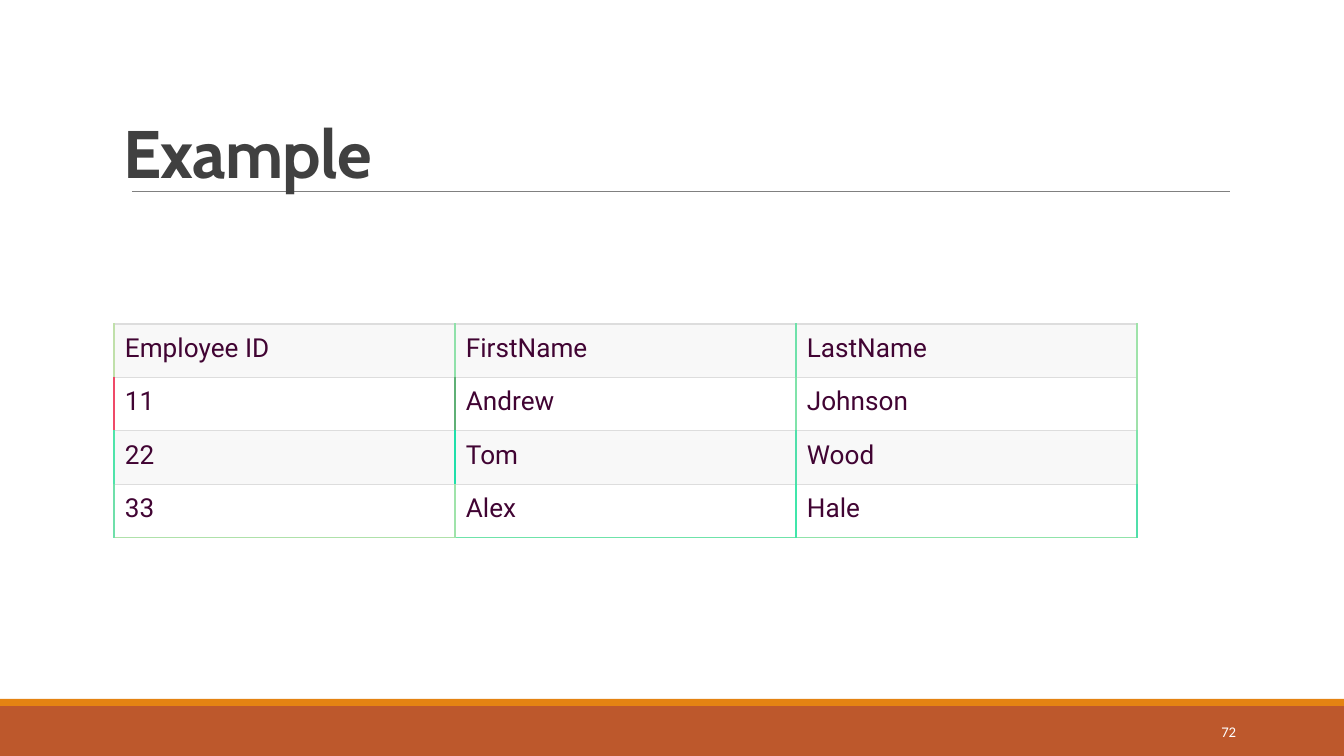
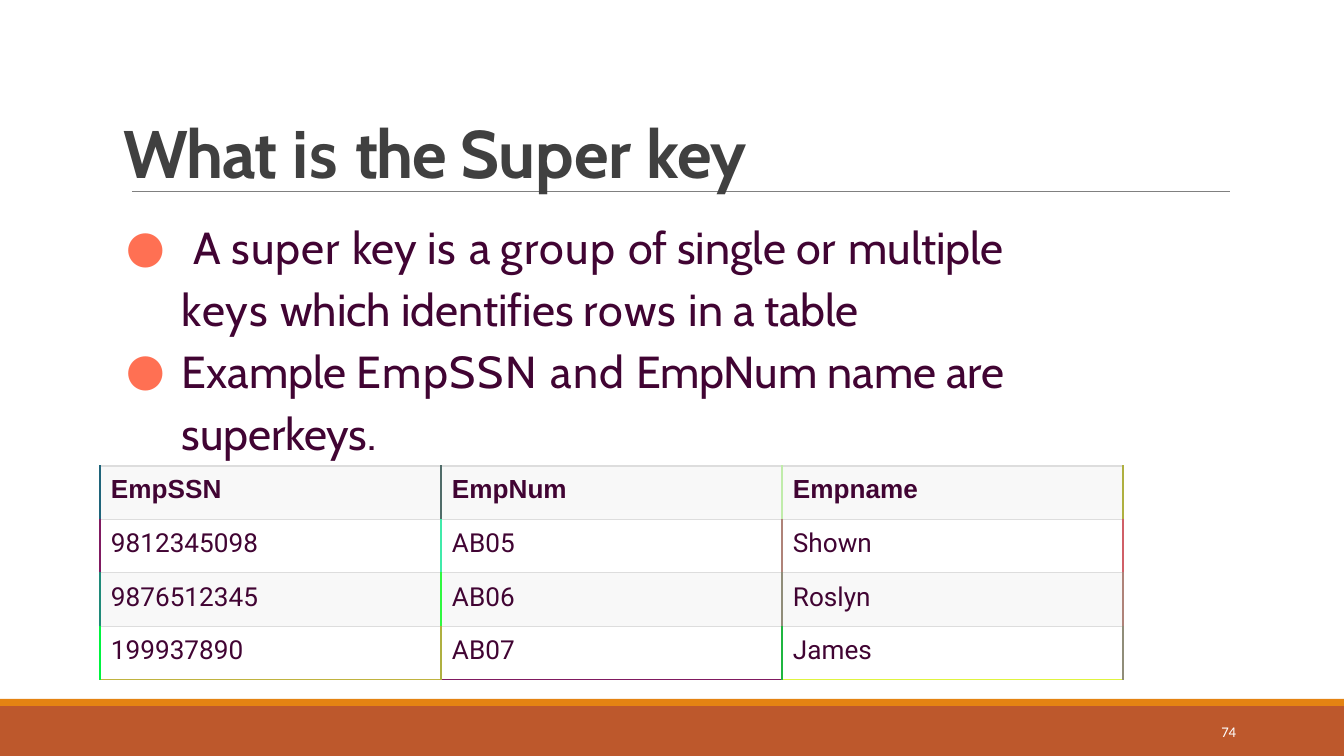
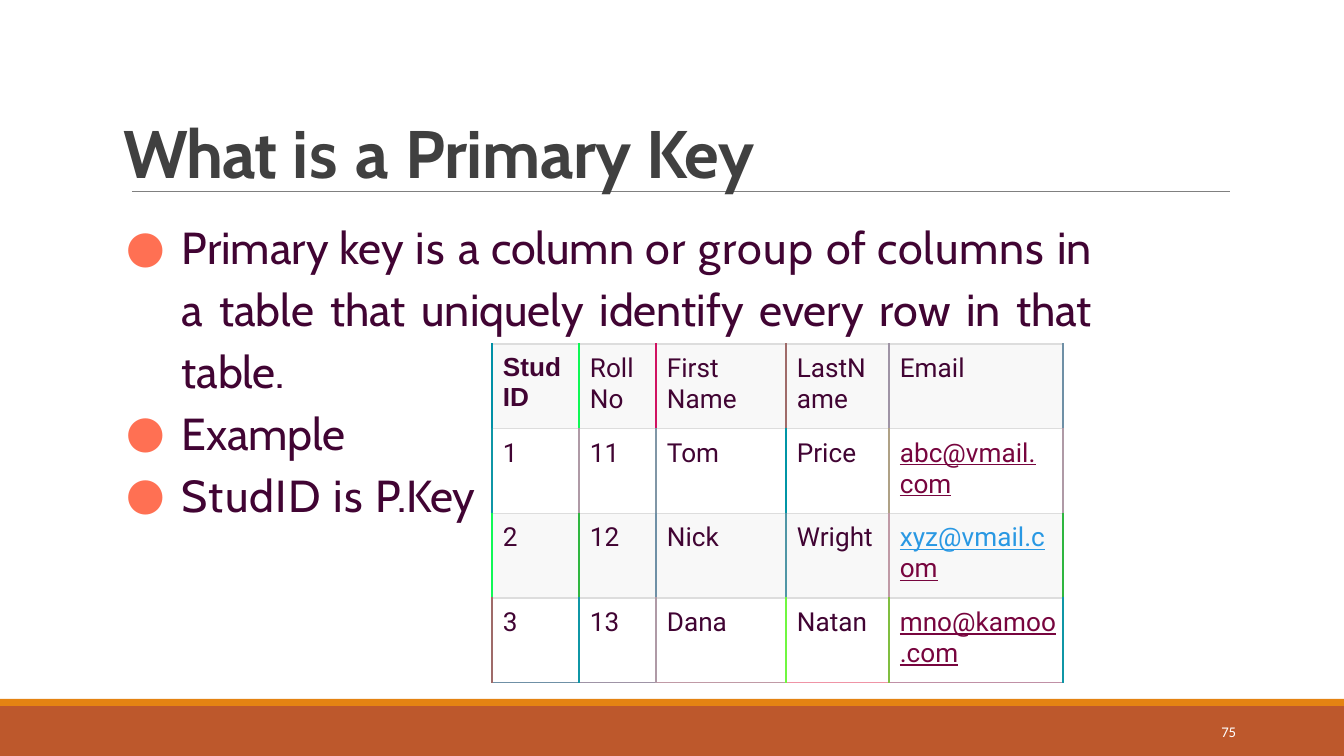
from lxml import etree
from pptx import Presentation
from pptx.dml.color import RGBColor
from pptx.enum.shapes import MSO_CONNECTOR, MSO_SHAPE
from pptx.enum.text import MSO_ANCHOR, PP_ALIGN
from pptx.oxml.ns import qn
from pptx.util import Pt

RECTANGLE = MSO_SHAPE.RECTANGLE
STRAIGHT = MSO_CONNECTOR.STRAIGHT
TOP, MIDDLE, BOTTOM = MSO_ANCHOR.TOP, MSO_ANCHOR.MIDDLE, MSO_ANCHOR.BOTTOM
LEFT, RIGHT, JUSTIFY = PP_ALIGN.LEFT, PP_ALIGN.RIGHT, PP_ALIGN.JUSTIFY

EMU_PER_PX = 914400 / 134.4
WIDTH, HEIGHT = 1344, 756

WHITE, STRIPE, ROW_LINE = "FFFFFF", "F8F8F8", "DDDDDD"
BAND, ACCENT, RULE = "BD582C", "E48312", "808080"
TITLE_INK, INK, BULLET = "404040", "410433", "FF7053"
LINK, LINK_BLUE = "77053E", "2998E3"
TITLE_FONT, CELL_FONT, HEADER_FONT, NUMBER_FONT = "Cabin", "Roboto", "Arial", "Calibri"


def px(length):
    return round(length * EMU_PER_PX)


def color(value):
    return RGBColor.from_string(value)


def add_child(parent, tag, **attributes):
    return etree.SubElement(parent, qn(tag), attributes)


def style_font(font, name, size, ink, bold=False):
    font.name, font.size, font.bold = name, Pt(size), bold
    font.color.rgb = color(ink)


def add_spans(para, spans):
    """Add (text, letter spacing in points) pairs as runs."""
    for text, spacing in spans:
        span = para.add_run()
        span.text = text
        if spacing:
            span._r.get_or_add_rPr().set("spc", str(round(spacing * 100)))


def add_text_box(slide, left, top, width, height, anchor=TOP, inset_left=0, inset_top=0):
    box = slide.shapes.add_textbox(px(left), px(top), px(width), px(height))
    frame = box.text_frame
    frame.word_wrap = True
    frame.vertical_anchor = anchor
    frame.margin_left, frame.margin_top = px(inset_left), px(inset_top)
    frame.margin_right = frame.margin_bottom = 0
    return frame


def add_band(slide, top, height, fill):
    band = slide.shapes.add_shape(RECTANGLE, 0, px(top), px(WIDTH), px(height))
    band.shadow.inherit = False
    band.fill.solid()
    band.fill.fore_color.rgb = color(fill)
    band.line.fill.background()


def add_title_rule(slide):
    rule = slide.shapes.add_connector(STRAIGHT, px(132), px(192), px(1230), px(192))
    rule.line.color.rgb = color(RULE)
    rule.line.width = Pt(0.5)
    add_child(rule._element.spPr, "a:effectLst")


def add_page(deck, title, number):
    """Add a slide with the shared bands, rule, title and page number."""
    slide = deck.slides.add_slide(deck.slide_layouts[6])
    add_band(slide, 706, 50, BAND)
    add_band(slide, 699, 7, ACCENT)
    add_title_rule(slide)

    para = add_text_box(slide, 121, 32, 1109, 160, BOTTOM, 2, 66).paragraphs[0]
    style_font(para.font, TITLE_FONT, 36, TITLE_INK, True)
    add_spans(para, title)

    para = add_text_box(slide, 1091, 712, 145, 40, MIDDLE).paragraphs[0]
    para.alignment = RIGHT
    style_font(para.font, NUMBER_FONT, 7.9, WHITE)
    add_spans(para, [(str(number), -0.2)])
    return slide


def add_bullet(para, tabs):
    properties = para._p.get_or_add_pPr()
    properties.set("marL", str(px(58)))
    properties.set("indent", str(px(-56)))
    add_child(add_child(properties, "a:buClr"), "a:srgbClr", val=BULLET)
    add_child(properties, "a:buFont", typeface=CELL_FONT)
    add_child(properties, "a:buChar", char="●")
    stops = add_child(properties, "a:tabLst")
    for position in tabs:
        add_child(stops, "a:tab", pos=str(px(position)), algn="l")


def add_bullets(slide, width, height, items, alignment=LEFT):
    """Each item is (spans, line spacing, space before in points, tab stops)."""
    frame = add_text_box(slide, 124, 211, width, height, inset_top=1)
    for index, (spans, line_spacing, space_before, tabs) in enumerate(items):
        para = frame.add_paragraph() if index else frame.paragraphs[0]
        para.alignment = alignment
        para.line_spacing = line_spacing
        para.space_before = Pt(space_before)
        style_font(para.font, TITLE_FONT, 24, INK)
        add_bullet(para, tabs)
        add_spans(para, spans)


def add_border(cell, side, ink, points):
    line = add_child(cell._tc.get_or_add_tcPr(), "a:ln" + side, w=str(Pt(points)))
    add_child(add_child(line, "a:solidFill"), "a:srgbClr", val=ink)


def write_cell(cell, text, bold):
    cell.margin_left, cell.margin_top = px(11), px(9)
    cell.margin_right = cell.margin_bottom = 0
    frame = cell.text_frame
    frame.text = text
    is_email = "@" in text
    for index, para in enumerate(frame.paragraphs):
        para.space_before = Pt(0.1 if index else 4.7)
        ink = LINK if is_email else INK
        if text.startswith("xyz") and index == 0:
            ink = LINK_BLUE
        style_font(para.font, HEADER_FONT if bold else CELL_FONT, 14, ink, bold)
        para.font.underline = is_email


def add_striped_table(slide, left, top, widths, row_height, rows, uprights, bottoms, bold_headers=0):
    """uprights holds the vertical edge colours of each row, bottoms those of the last edge."""
    table = slide.shapes.add_table(len(rows), len(widths), px(left), px(top),
                                   px(sum(widths)), px(row_height * len(rows))).table
    for column, width in zip(table.columns, widths):
        column.width = px(width)
    for row_index, (texts, edges) in enumerate(zip(rows, uprights)):
        table.rows[row_index].height = px(row_height)
        is_last = row_index == len(rows) - 1
        for column_index, text in enumerate(texts):
            cell = table.cell(row_index, column_index)
            write_cell(cell, text, row_index == 0 and column_index < bold_headers)
            add_border(cell, "L", edges[column_index], 1)
            add_border(cell, "R", edges[column_index + 1], 1)
            add_border(cell, "T", ROW_LINE, 0.75)
            if is_last:
                add_border(cell, "B", bottoms[column_index], 1)
            else:
                add_border(cell, "B", ROW_LINE, 0.75)
            cell.fill.solid()
            cell.fill.fore_color.rgb = color(WHITE if row_index % 2 else STRIPE)


def add_example_slide(deck):
    slide = add_page(deck, [("Example", -0.4)], 72)
    add_striped_table(
        slide, 114, 324, [341] * 3, 53.4,
        [["Employee ID", "FirstName", "LastName"],
         ["11", "Andrew", "Johnson"],
         ["22", "Tom", "Wood"],
         ["33", "Alex", "Hale"]],
        [["C0E0AA", "90E1AA", "6FE1AA", "9FE3AA"],
         ["EF4A68", "5FB076", "80E3AA", "9FE1AA"],
         ["50E3AA", "1FDFAA", "50DFAA", "80E3AA"],
         ["6FDFAA", "9FE3AA", "40E6AA", "50DFAA"]],
        ["AFE1AA", "6FE3AA", "90E3AA"])


def add_super_key_slide(deck):
    slide = add_page(deck, [("What ", -0.5), ("is ", 0.6), ("the ", -0.8),
                            ("Super ", -0.1), ("key", -0.2)], 74)
    add_bullets(slide, 943, 251, [
        ([("\tA ", 0), ("super ", 0.6), ("key ", 0), ("is ", 0.7), ("a ", 0),
          ("group ", 0.7), ("of single ", 0), ("or ", 0.6), ("multiple ", -0.1),
          ("keys ", 0.6), ("which identifies ", 0), ("rows ", 0.6), ("in a ", 0),
          ("table", -0.1)], 1.15, 1, [58, 70]),
        ([("Example ", 0), ("EmpSSN ", 0.9), ("and", 0.7), (" EmpNum name ", 0),
          ("are ", -0.2), ("superkeys.", -0.1)], 1.15, 0, [58]),
    ])
    add_striped_table(
        slide, 100, 466, [341] * 3, 53.4,
        [["EmpSSN", "EmpNum", "Empname"],
         ["9812345098", "AB05", "Shown"],
         ["9876512345", "AB06", "Roslyn"],
         ["199937890", "AB07", "James"]],
        [["1F647A", "506C69", "C0ECAA", "AFB040"],
         ["801A61", "40EAAA", "AF8379", "D05F67"],
         ["1F8A79", "2FF840", "908D79", "AF8379"],
         ["00F340", "AFB040", "1FB640", "908D79"]],
        ["C0B340", "801A61", "DFF440"], bold_headers=3)


def add_primary_key_slide(deck):
    slide = add_page(deck, [("What ", -0.5), ("is ", 0.6), ("a ", 0.5),
                            ("Primary ", -0.3), ("Key", -0.2)], 75)
    add_bullets(slide, 968, 313, [
        ([("Primary key ", 0), ("is ", 0.7), ("a column ", 0), ("or ", 0.6),
          ("group ", 0.7), ("of ", 0), ("columns ", 0.5),
          ("in a table that uniquely identify every row ", 0), ("in ", -0.2),
          ("that ", 0), ("table.", -0.1)], 1.15, 0.9, [58]),
        ([("Example", -0.1)], 1, 4.3, [58]),
        ([("StudID is ", 0.7), ("P.Key", -0.1)], 1, 4.3, [58]),
    ], JUSTIFY)
    add_striped_table(
        slide, 492, 344, [87, 77, 130, 103, 174], 84.7,
        [["Stud\nID", "Roll\nNo", "First\nName", "LastN\name", "Email"],
         ["1", "11", "Tom", "Price", "abc@vmail.\ncom"],
         ["2", "12", "Nick", "Wright", "xyz@vmail.c\nom"],
         ["3", "13", "Dana", "Natan", "mno@kamoo\n.com"]],
        [["0090A6", "0FF856", "D01261", "9F6B69", "9F94A6", "6F90A6"],
         ["0F96A6", "AF9AA6", "8096A6", "0095A6", "AFA186", "AF9AA6"],
         ["0FF856", "2FB640", "6F90A6", "5096A6", "C09AA6", "2FB640"],
         ["9F6B69", "0F96A6", "AF9AA6", "6FF740", "80BE40", "0F96A6"]],
        ["6F90A6", "9F94A6", "C09AA6", "EF94A6", "C090A6"], bold_headers=1)


def main():
    deck = Presentation()
    deck.slide_width, deck.slide_height = px(WIDTH), px(HEIGHT)
    add_example_slide(deck)
    add_super_key_slide(deck)
    add_primary_key_slide(deck)
    deck.save("out.pptx")


if __name__ == "__main__":
    main()
